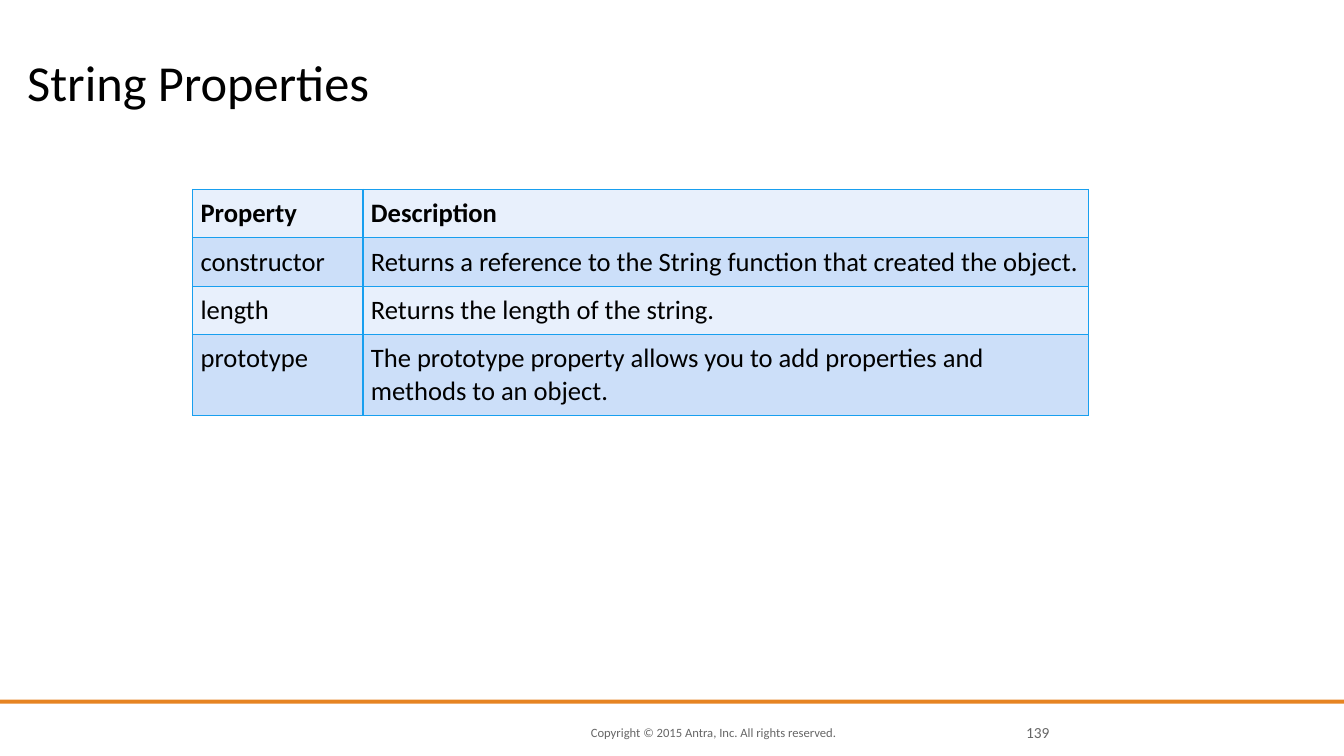
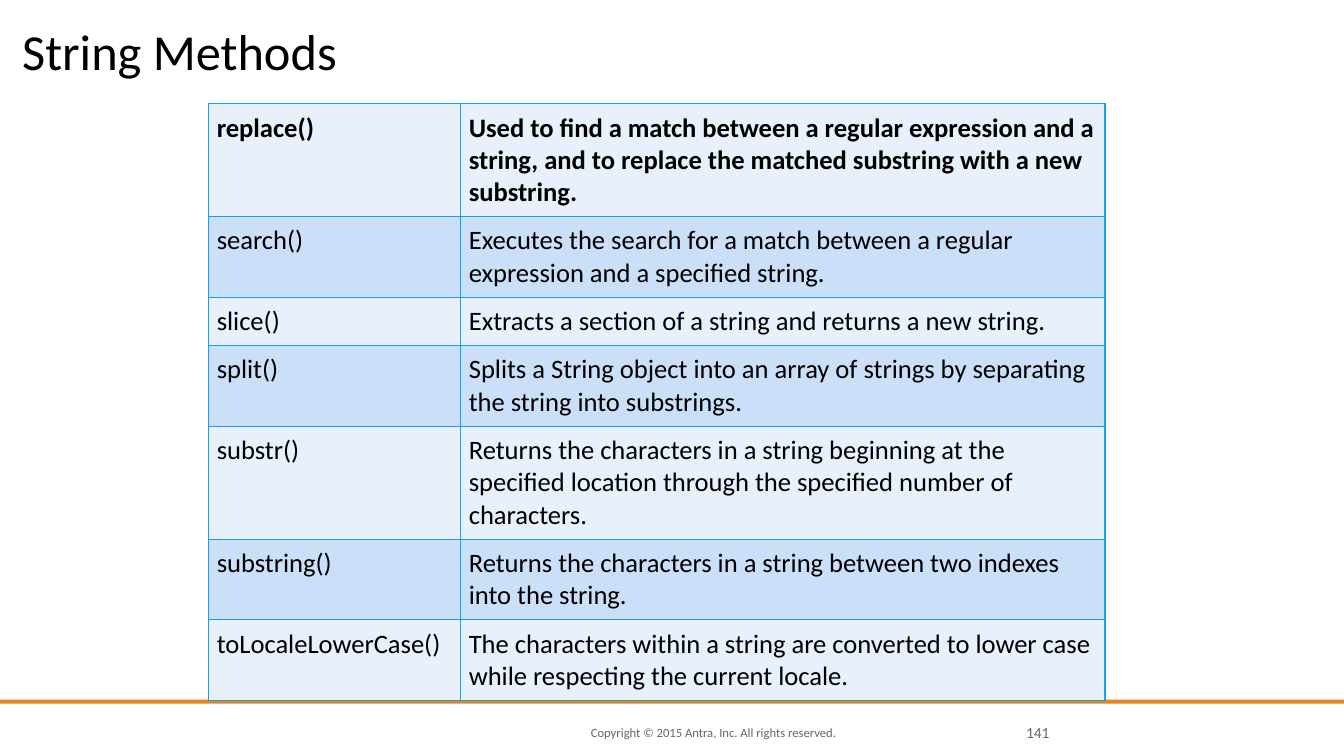
from lxml import etree
from pptx import Presentation
from pptx.dml.color import RGBColor
from pptx.enum.shapes import MSO_SHAPE
from pptx.enum.text import MSO_ANCHOR, PP_ALIGN
from pptx.oxml.ns import qn
from pptx.util import Inches, Pt

RECTANGLE = MSO_SHAPE.RECTANGLE
MIDDLE, BOTTOM = MSO_ANCHOR.MIDDLE, MSO_ANCHOR.BOTTOM
LEFT, RIGHT = PP_ALIGN.LEFT, PP_ALIGN.RIGHT

FONT = "Calibri"
BLACK = RGBColor(0x00, 0x00, 0x00)
GRAY = RGBColor(0x66, 0x66, 0x66)
ORANGE = RGBColor(0xE6, 0x84, 0x22)
BORDER_BLUE = RGBColor(0x18, 0x9F, 0xEF)
ROW_FILLS = (RGBColor(0xE8, 0xF0, 0xFC), RGBColor(0xCC, 0xDF, 0xF9))

CELL_MARGIN = 0.08
LINE_HEIGHT = 0.32
TITLE_ONLY = 5
COPYRIGHT = "Copyright © 2015 Antra, Inc. All rights reserved."

# Each row holds a name, a description and the lines the description takes.
SLIDES = [
    {
        "title": "String Properties",
        "title_box": (0.27, 0.38, 12.17, 0.72),
        "number": "139",
        "table_corner": (1.91, 1.88),
        "column_widths": (1.69, 7.2),
        "rows": [
            ("Property", "Description", 1),
            ("constructor", "Returns a reference to the String function that created the object.", 1),
            ("length", "Returns the length of the string.", 1),
            ("prototype", "The prototype property allows you to add properties and "
             "methods to an object.", 2),
        ],
    },
    {
        "title": "String Methods",
        "title_box": (0.22, 0.18, 12.17, 0.62),
        "number": "141",
        "table_corner": (2.07, 1.03),
        "column_widths": (2.5, 6.39),
        "rows": [
            ("replace()", "Used to find a match between a regular expression and a string, "
             "and to replace the matched substring with a new substring.", 3),
            ("search()", "Executes the search for a match between a regular expression "
             "and a specified string.", 2),
            ("slice()", "Extracts a section of a string and returns a new string.", 1),
            ("split()", "Splits a String object into an array of strings by separating "
             "the string into substrings.", 2),
            ("substr()", "Returns the characters in a string beginning at the specified "
             "location through the specified number of characters.", 3),
            ("substring()", "Returns the characters in a string between two indexes "
             "into the string.", 2),
            ("toLocaleLowerCase()", "The characters within a string are converted to "
             "lower case while respecting the current locale.", 2),
        ],
    },
]


def inches(values):
    return [Inches(value) for value in values]


def set_text(frame, text, size, color, margin=0, alignment=LEFT, bold=False):
    frame.text = text
    frame.margin_left = frame.margin_right = Inches(margin)
    frame.margin_top = frame.margin_bottom = Inches(margin)
    paragraph = frame.paragraphs[0]
    paragraph.alignment = alignment
    font = paragraph.font
    font.name, font.size, font.bold = FONT, Pt(size), bold
    font.color.rgb = color


def add_title(slide, text, box):
    title = slide.shapes.title
    title.left, title.top, title.width, title.height = inches(box)
    frame = title.text_frame
    set_text(frame, text, 36, BLACK)
    frame.vertical_anchor = BOTTOM
    frame.paragraphs[0].line_spacing = 0.8


def add_footer(slide, number):
    rule = slide.shapes.add_shape(RECTANGLE, *inches((0, 6.94, 13.33, 0.04)))
    rule.shadow.inherit = False
    rule.fill.solid()
    rule.fill.fore_color.rgb = ORANGE
    rule.line.fill.background()

    for text, left, width, size, alignment in (
        (COPYRIGHT, 5.86, 3.05, 9, LEFT),
        (number, 9.99, 0.42, 11, RIGHT),
    ):
        box = slide.shapes.add_textbox(*inches((left, 7.17, width, 0.2)))
        set_text(box.text_frame, text, size, GRAY, alignment=alignment)
        box.text_frame.word_wrap = False
        box.text_frame.vertical_anchor = MIDDLE


def add_borders(cell):
    properties = cell._tc.get_or_add_tcPr()
    for side in ("a:lnL", "a:lnR", "a:lnT", "a:lnB"):
        line = etree.SubElement(properties, qn(side), w=str(Pt(1)))
        fill = etree.SubElement(line, qn("a:solidFill"))
        etree.SubElement(fill, qn("a:srgbClr"), val=str(BORDER_BLUE))


def add_reference_table(slide, corner, column_widths, rows):
    heights = [2 * CELL_MARGIN + LINE_HEIGHT * lines for *_, lines in rows]
    table = slide.shapes.add_table(
        len(rows), len(column_widths),
        *inches((*corner, sum(column_widths), sum(heights))),
    ).table
    for column, width in zip(table.columns, column_widths):
        column.width = Inches(width)
    for row_index, (*texts, _) in enumerate(rows):
        table.rows[row_index].height = Inches(heights[row_index])
        for column_index, text in enumerate(texts):
            cell = table.cell(row_index, column_index)
            set_text(cell.text_frame, text, 19, BLACK, bold=row_index == 0)
            cell.margin_left = cell.margin_right = Inches(CELL_MARGIN)
            cell.margin_top = cell.margin_bottom = Inches(CELL_MARGIN)
            add_borders(cell)
            cell.fill.solid()
            cell.fill.fore_color.rgb = ROW_FILLS[row_index % 2]


def main():
    presentation = Presentation()
    presentation.slide_width, presentation.slide_height = inches((13.33, 7.5))
    for content in SLIDES:
        slide = presentation.slides.add_slide(presentation.slide_layouts[TITLE_ONLY])
        add_title(slide, content["title"], content["title_box"])
        add_footer(slide, content["number"])
        add_reference_table(
            slide, content["table_corner"], content["column_widths"], content["rows"]
        )
    presentation.save("out.pptx")


if __name__ == "__main__":
    main()
